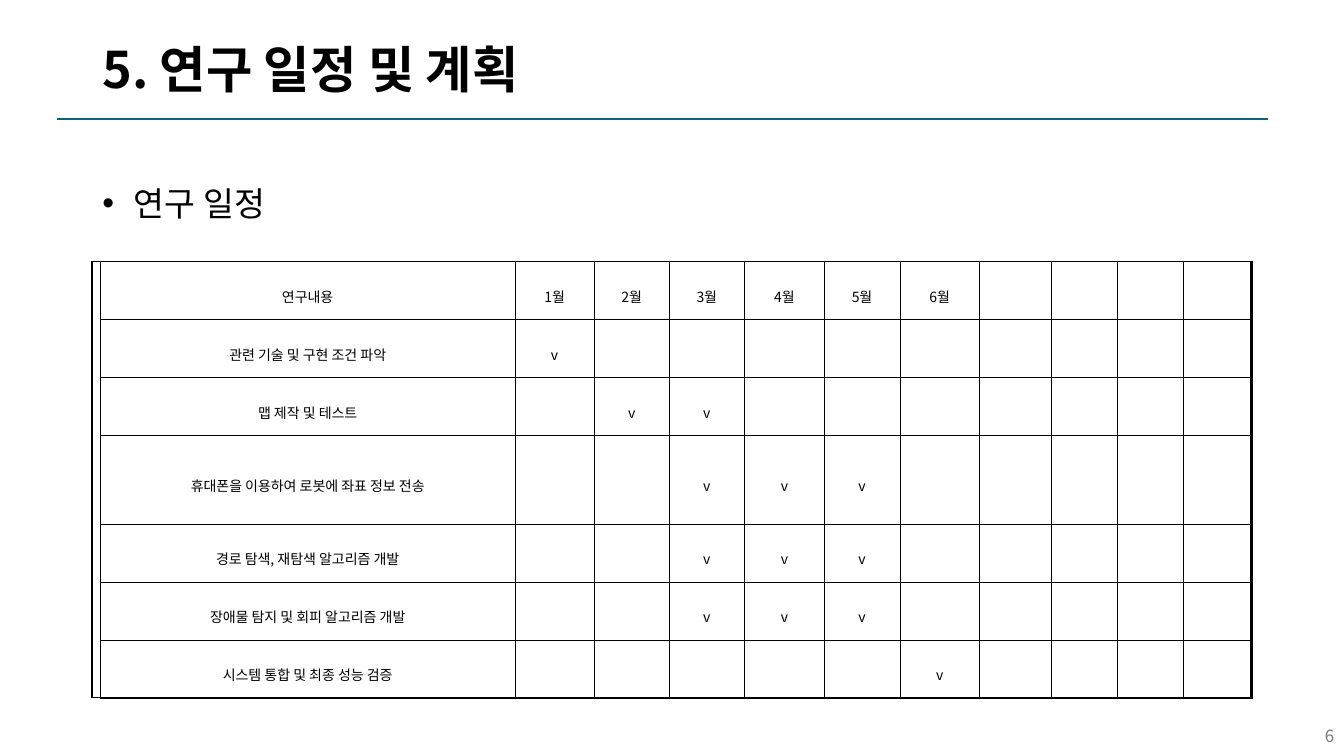
from pptx import Presentation
from pptx.dml.color import RGBColor
from pptx.enum.shapes import MSO_CONNECTOR as Link
from pptx.enum.text import MSO_ANCHOR as Anchor, PP_ALIGN as Align
from pptx.oxml.ns import qn
from pptx.util import Pt
from lxml.etree import SubElement as Sub, Element

THIN, THICK = 0.25, 1.7
COLS = [5.8, 295.9, 56.9, 53.3, 54, 56.9, 54, 56.9, 51.1, 47.5, 46.8, 49]
ROW, TALL = 41.4, 63.5
MONTHS = ["1월", "2월", "3월", "4월", "5월", "6월"]
TASKS = [
    ("관련 기술 및 구현 조건 파악", [1]),
    ("맵 제작 및 테스트", [2, 3]),
    ("휴대폰을 이용하여 로봇에 좌표 정보 전송", [3, 4, 5]),
    ("경로 탐색, 재탐색 알고리즘 개발", [3, 4, 5]),
    ("장애물 탐지 및 회피 알고리즘 개발", [3, 4, 5]),
    ("시스템 통합 및 최종 성능 검증", [6]),
]


def color(code):
    return RGBColor.from_string(code)


class Deck:
    font = "Noto Sans CJK KR"
    ink = "000000"
    blue = "156082"
    gray = "797979"

    def __init__(self, wide, high):
        self.prs = Presentation()
        self.prs.slide_width, self.prs.slide_height = Pt(wide), Pt(high)
        self.slide = self.prs.slides.add_slide(self.prs.slide_layouts[6])

    def label(self, frame, text, size, ink=None, bold=False, align=Align.LEFT, gap=None):
        """Put one styled paragraph in a text frame and return it."""
        frame.text = text
        par = frame.paragraphs[0]
        par.alignment, par.line_spacing = align, gap
        par.font.size = Pt(size)
        for run in par.runs:
            run.font.size, run.font.bold = Pt(size), bold
            run.font.name = self.font
            run.font.color.rgb = color(ink or self.ink)
            Sub(run._r.get_or_add_rPr(), qn("a:ea"), typeface=self.font)
        return par

    def text(self, box, text, size, **style):
        frame = self.slide.shapes.add_textbox(*map(Pt, box)).text_frame
        frame.word_wrap = True
        frame.vertical_anchor = Anchor.MIDDLE
        return self.label(frame, text, size, **style)

    def bullet(self, box, text, size, indent):
        props = self.text(box, text, size)._p.get_or_add_pPr()
        props.set("marL", str(Pt(indent)))
        props.set("indent", str(-Pt(indent)))
        font = Element(qn("a:buFont"), typeface="Arial")
        props.insert(0, font)
        font.addnext(Element(qn("a:buChar"), char="•"))

    def rule(self, left, top, right, width):
        line = self.slide.shapes.add_connector(
            Link.STRAIGHT, Pt(left), Pt(top), Pt(right), Pt(top))
        line.line.color.rgb = color(self.blue)
        line.line.width = Pt(width)
        Sub(line._element.spPr, qn("a:effectLst"))

    def edges(self, cell, widths):
        """Draw cell borders, given as left, right, top, bottom widths."""
        props = cell._tc.get_or_add_tcPr()
        for i, (side, width) in enumerate(zip("LRTB", widths)):
            line = Element(qn("a:ln" + side), w=str(Pt(width)))
            fill = Sub(line, qn("a:solidFill"))
            Sub(fill, qn("a:srgbClr"), val=self.ink)
            props.insert(i, line)

    def table(self, left, top, cols, rows, data, size):
        table = self.slide.shapes.add_table(
            len(rows), len(cols), Pt(left), Pt(top), Pt(sum(cols)), Pt(sum(rows))).table
        table.first_row = table.horz_banding = False
        for col, width in zip(table.columns, cols):
            col.width = Pt(width)
        for row, height in zip(table.rows, rows):
            row.height = Pt(height)
        for r, line in enumerate(data):
            for c, text in enumerate(line):
                cell = table.cell(r, c)
                cell.margin_left = cell.margin_right = Pt(1.4)
                cell.margin_top = cell.margin_bottom = Pt(1.4)
                cell.vertical_anchor = Anchor.MIDDLE
                cell.fill.background()
                self.label(cell.text_frame, text, size, align=Align.CENTER, gap=1.6)
                last_col, last_row = c == len(cols) - 1, r == len(rows) - 1
                self.edges(cell, [THICK if c == 0 else THIN, THICK if last_col else THIN,
                                  THIN, THICK if last_row else THIN])
        return table


def main():
    deck = Deck(960, 540)
    deck.text((66, 20, 828, 63), "5. 연구 일정 및 계획", 36, bold=True, gap=0.9)
    deck.rule(41, 85, 906, 1.5)
    deck.bullet((66, 127, 865, 36), "연구 일정", 24, 22.5)
    deck.text((744, 511, 216, 29), "6", 12, ink=deck.gray, align=Align.RIGHT)

    spare = len(COLS) - 2 - len(MONTHS)
    data = [["", "연구내용", *MONTHS, *[""] * spare]]
    for task, months in TASKS:
        marks = ["v" if m in months else "" for m in range(1, len(COLS) - 1)]
        data.append(["", task, *marks])
    rows = [ROW] * len(data)
    rows[3] = TALL
    table = deck.table(66, 186.5, COLS, rows, data, 10)
    table.cell(0, 0).merge(table.cell(len(rows) - 1, 0))
    deck.prs.save("out.pptx")


if __name__ == "__main__":
    main()
